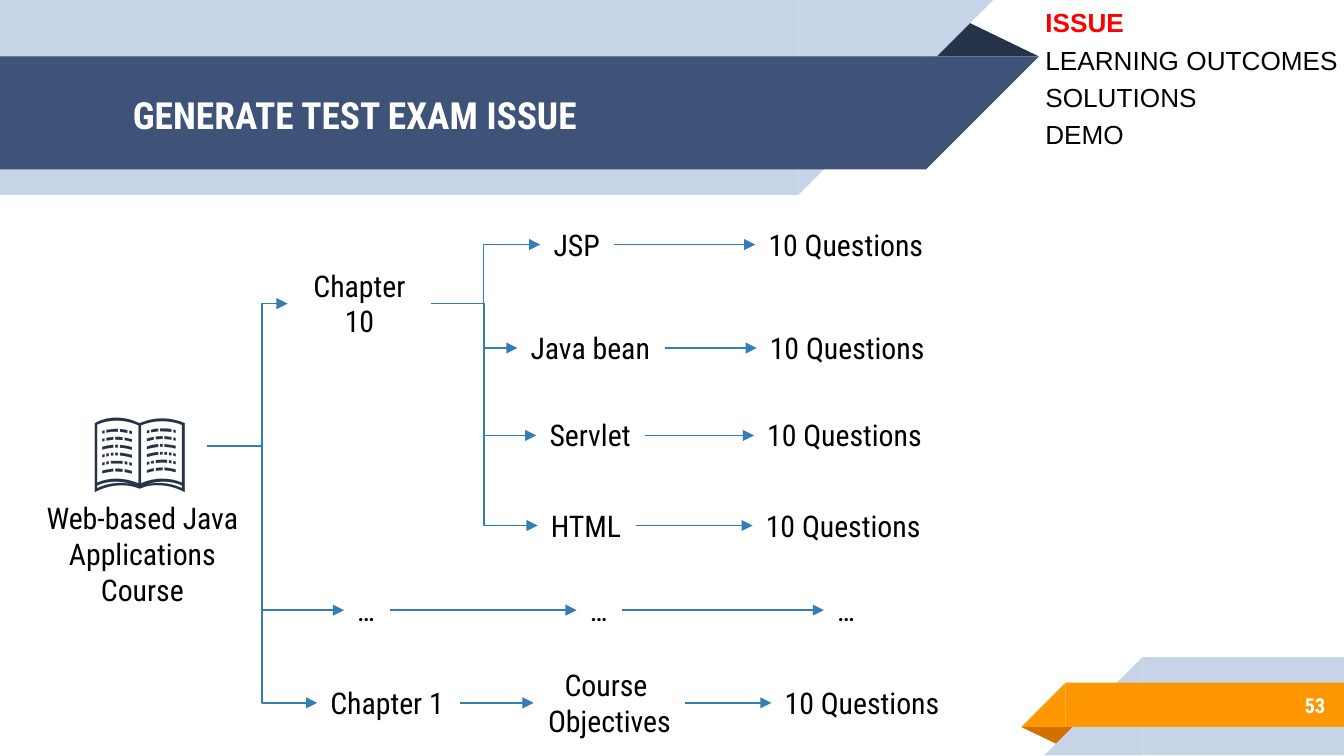
import pptx
import pptx.dml.color
import pptx.enum.shapes
import pptx.enum.text
import pptx.oxml.ns
import pptx.util
from lxml import etree

SHAPE = pptx.enum.shapes.MSO_SHAPE
LINK = pptx.enum.shapes.MSO_CONNECTOR
ALIGN = pptx.enum.text.PP_ALIGN
ANCHOR = pptx.enum.text.MSO_ANCHOR
COLORS = {
    "pale": "C7D3E6", "navy": "3F5378", "dark": "263248", "orange": "FF9800",
    "rust": "D26F00", "arrow": "347EB8", "black": "000000", "white": "FFFFFF", "red": "FF0000",
}
RGB = {name: pptx.dml.color.RGBColor.from_string(c) for name, c in COLORS.items()}

prs = pptx.Presentation()
prs.slide_width = pptx.util.Inches(10)
prs.slide_height = pptx.util.Inches(5.625)
s = prs.slides.add_slide(prs.slide_layouts[6])
# Square grid of 100 columns by 56.25 rows
UNIT = prs.slide_width // 100


def add_block(kind, left, top, width, height, color, rotation=0):
    sp = s.shapes.add_shape(kind, *(round(v * UNIT) for v in (left, top, width, height)))
    sp.shadow.inherit = False
    sp.fill.solid()
    sp.fill.fore_color.rgb = RGB[color]
    sp.line.fill.background()
    sp.rotation = rotation
    if kind == SHAPE.ISOSCELES_TRIANGLE:
        sp.adjustments[0] = 0.32


def add_text(left, top, width, height, lines, size=16, color="black", bold=False,
             align=ALIGN.LEFT, anchor=ANCHOR.TOP, font="Roboto Condensed", wrap=True, gap=0):
    """Add a text box with one paragraph per line; gap is the space between them."""
    sp = s.shapes.add_textbox(*(round(v * UNIT) for v in (left, top, width, height)))
    tf = sp.text_frame
    tf.word_wrap = wrap
    tf.vertical_anchor = anchor
    for i, line in enumerate(lines):
        p = tf.paragraphs[0] if i == 0 else tf.add_paragraph()
        p.alignment = align
        if i and gap:
            p.space_before = pptx.util.Pt(gap)
        r = p.add_run()
        r.text = line
        r.font.name = font
        r.font.size = pptx.util.Pt(size)
        r.font.bold = bold
        r.font.color.rgb = RGB[color]
    return tf


# Header bands slant at the right end, footer bands at the left end
add_block(SHAPE.ISOSCELES_TRIANGLE, 68.8, 1.4, 8.5, 2.8, "dark")
for top, length, height, color in [(0, 59.4, 14.5, "pale"), (4.2, 68.9, 8.4, "navy")]:
    add_block(SHAPE.RECTANGLE, 0, top, length, height, color)
    add_block(SHAPE.RIGHT_TRIANGLE, length, top, height, height, color, 90)
add_block(SHAPE.ISOSCELES_TRIANGLE, 76, 54.1, 4.3, 1.4, "rust", 180)
for left, top, height, color in [(85, 48.9, 7.3, "pale"), (79.3, 50.8, 3.3, "orange")]:
    add_block(SHAPE.RECTANGLE, left, top, 100 - left, height, color)
    add_block(SHAPE.RIGHT_TRIANGLE, left - height, top, height, height, color, 270)

add_text(8.9, 4.3, 57.5, 8.4, ["GENERATE TEST EXAM ISSUE"], 20, "white", True,
         anchor=ANCHOR.MIDDLE)
add_text(83.3, 50.7, 16.3, 3.5, ["53"], 11, "white", True, ALIGN.RIGHT, ANCHOR.MIDDLE)
menu = add_text(76.8, 0, 24, 11.3, ["ISSUE", "LEARNING OUTCOMES", "SOLUTIONS", "DEMO"], 14,
                font="Arial", gap=3.2)
current = menu.paragraphs[0].runs[0].font
current.bold = True
current.color.rgb = RGB["red"]

add_text(5.8, 28.4, 9.6, 9.4, ["📖"], 50, "dark")
add_text(2.3, 36.7, 16.6, 9.1, ["Web-based Java Applications Course"], align=ALIGN.CENTER)

# Each row: vertical centre, then its labels as (left, width, number of lines, paragraphs)
QUESTIONS = ["10 Questions"]
rows = [
    (22.6, [(21.4, 10.7, 2, ["Chapter 10"])]),
    (18.2, [(40.2, 5.5, 1, ["JSP"]), (56.2, 13.6, 1, QUESTIONS)]),
    (25.9, [(38.5, 11, 1, ["Java bean"]), (56.3, 13.6, 1, QUESTIONS)]),
    (32.4, [(39.9, 8.1, 1, ["Servlet"]), (56.1, 13.6, 1, QUESTIONS)]),
    (39.1, [(40, 7.3, 1, ["HTML"]), (56, 13.6, 1, QUESTIONS)]),
    (45.4, [(25.6, 3.4, 1, ["…"]), (42.9, 3.4, 1, ["…"]), (61.3, 3.4, 1, ["…"])]),
    (52.3, [(23.6, 10.6, 1, ["Chapter 1"]), (39.7, 11.3, 2, ["Course ", "Objectives"]),
            (57.4, 13.6, 1, QUESTIONS)]),
]
links = []  # start x, start y, end x, end y, x of the bend or None
for y, labels in rows:
    for left, width, count, lines in labels:
        height = 1 + 2.7 * count
        add_text(left, y - height / 2, width, height, lines, wrap=count > 1,
                 align=ALIGN.CENTER if count > 1 else ALIGN.LEFT)
    for here, following in zip(labels, labels[1:]):
        links.append((here[0] + here[1], y, following[0], y, None))

# The course branches to chapters, chapter 10 branches to topics
for x, y, bend, targets in [(15.4, 33.2, 19.5, [rows[0], *rows[5:]]),
                            (32.1, 22.6, 36, rows[1:5])]:
    for target_y, labels in targets:
        links.append((x, y, labels[0][0], target_y, bend))

for x1, y1, x2, y2, bend in links:
    kind = LINK.STRAIGHT if bend is None else LINK.ELBOW
    c = s.shapes.add_connector(kind, *(round(v * UNIT) for v in (x1, y1, x2, y2)))
    c.line.color.rgb = RGB["arrow"]
    c.line.width = pptx.util.Pt(0.75)
    etree.SubElement(c.line._get_or_add_ln(), pptx.oxml.ns.qn("a:tailEnd"), type="triangle")
    props = c._element.spPr
    etree.SubElement(props, pptx.oxml.ns.qn("a:effectLst"))
    if bend is not None:
        guides = props.find(".//" + pptx.oxml.ns.qn("a:avLst"))
        share = round((bend - x1) / (x2 - x1) * 100000)
        etree.SubElement(guides, pptx.oxml.ns.qn("a:gd"), name="adj1", fmla=f"val {share}")

prs.save("out.pptx")
